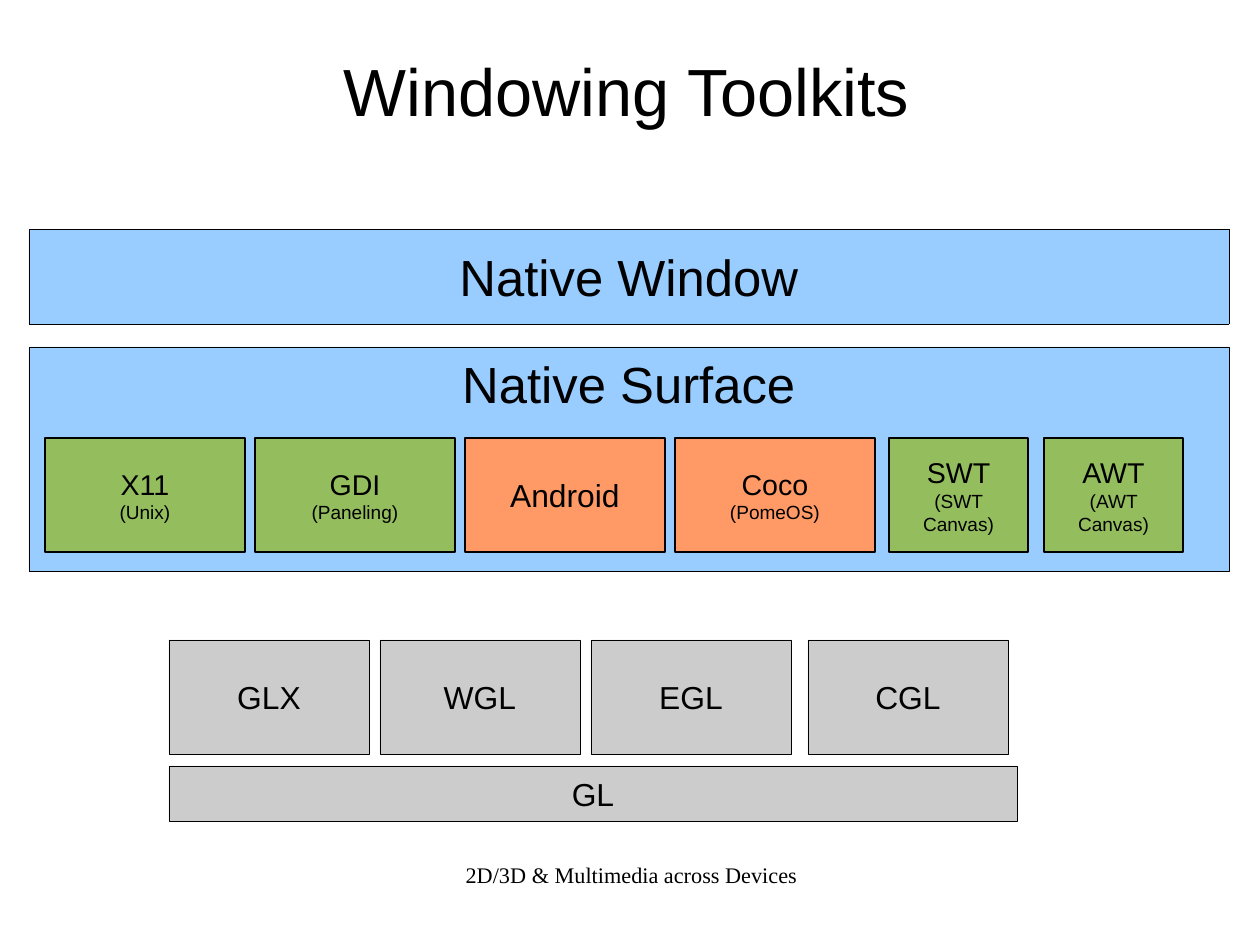
from dataclasses import dataclass

from pptx import Presentation
from pptx.dml.color import RGBColor
from pptx.enum.dml import MSO_LINE as Dash
from pptx.enum.shapes import MSO_SHAPE as Shape
from pptx.enum.text import MSO_ANCHOR as Anchor, MSO_AUTO_SIZE as AutoSize, PP_ALIGN as Align
from pptx.slide import Slide
from pptx.text.text import TextFrame
from pptx.util import Emu, Pt

EMU_PER_PX = 8000


@dataclass(frozen=True)
class Theme:
    ink: str = "000000"
    blue: str = "99CCFF"
    green: str = "94BD5E"
    orange: str = "FF9966"
    grey: str = "CCCCCC"
    sans: str = "Arial"
    serif: str = "Times New Roman"
    title: int = 42
    panel: int = 32
    label: int = 20
    name: int = 18
    footer: int = 14
    note: int = 12
    hairline: float = 0.1
    border: float = 1.45


T = Theme()


@dataclass(frozen=True)
class Style:
    fill: str
    size: int
    line: float = T.hairline
    inset: tuple[int, int] = (11, 6)
    dash: Dash | None = None


@dataclass(frozen=True)
class Box:
    text: str
    x: int
    y: int
    w: int
    h: int
    style: Style
    note: str = ""
    anchor: Anchor = Anchor.MIDDLE


PANEL = Style(T.blue, T.panel, dash=Dash.SQUARE_DOT)
READY = Style(T.green, T.name, T.border, (13, 7))
PLANNED = Style(T.orange, T.name, T.border, (13, 7))
PLANNED_LARGE = Style(T.orange, T.label, T.border, (13, 7))
LIBRARY = Style(T.grey, T.label)

# Content: tile rows follow a fixed pitch
TILE_W, TILE_H, CANVAS_W = 200, 114, 139
SURFACE_Y, LIBRARY_X, LIBRARY_Y = 438, 169, 640

PANELS = [
    Box("Native Window", 29, 229, 1200, 95, PANEL),
    Box("Native Surface", 29, 347, 1200, 224, PANEL, anchor=Anchor.TOP),
]
SURFACES = [
    Box(name, 45 + 210 * i, SURFACE_Y, TILE_W, TILE_H, style, note)
    for i, (name, note, style) in enumerate([
        ("X11", "(Unix)", READY),
        ("GDI", "(Paneling)", READY),
        ("Android", "", PLANNED_LARGE),
        ("Coco", "(PomeOS)", PLANNED),
    ])
]
CANVASES = [
    Box(name, 889 + 155 * i, SURFACE_Y, CANVAS_W, TILE_H, READY, f"({name} Canvas)")
    for i, name in enumerate(["SWT", "AWT"])
]
LIBRARIES = [
    Box(name, LIBRARY_X + 211 * i, LIBRARY_Y, TILE_W, TILE_H, LIBRARY)
    for i, name in enumerate(["GLX", "WGL", "EGL"])
] + [
    Box("CGL", 808, LIBRARY_Y, TILE_W, TILE_H, LIBRARY),
    Box("GL", LIBRARY_X, 766, 848, 55, LIBRARY),
]


def px(n: int) -> Emu:
    return Emu(n * EMU_PER_PX)


def write(tf: TextFrame, lines: list[tuple[str, int]], font: str = T.sans,
          inset: tuple[int, int] = (0, 0), anchor: Anchor = Anchor.MIDDLE) -> None:
    tf.word_wrap = True
    tf.auto_size = AutoSize.NONE
    tf.vertical_anchor = anchor
    tf.margin_left = tf.margin_right = px(inset[0])
    tf.margin_top = tf.margin_bottom = px(inset[1])
    for i, (text, size) in enumerate(lines):
        p = tf.add_paragraph() if i else tf.paragraphs[0]
        p.alignment = Align.CENTER
        r = p.add_run()
        r.text = text
        r.font.name = font
        r.font.size = Pt(size)
        r.font.color.rgb = RGBColor.from_string(T.ink)


def add_box(s: Slide, box: Box) -> None:
    style = box.style
    sp = s.shapes.add_shape(Shape.RECTANGLE, px(box.x), px(box.y), px(box.w), px(box.h))
    sp.shadow.inherit = False
    sp.fill.solid()
    sp.fill.fore_color.rgb = RGBColor.from_string(style.fill)
    sp.line.color.rgb = RGBColor.from_string(T.ink)
    sp.line.width = Pt(style.line)
    if style.dash is not None:
        sp.line.dash_style = style.dash
    lines = [(box.text, style.size)]
    if box.note:
        lines.append((box.note, T.note))
    write(sp.text_frame, lines, inset=style.inset, anchor=box.anchor)


def main() -> None:
    prs = Presentation()
    prs.slide_width, prs.slide_height = px(1260), px(945)
    s = prs.slides.add_slide(prs.slide_layouts[5])

    # Title
    title = s.shapes.title
    title.left, title.top, title.width, title.height = px(52), px(43), px(1149), px(94)
    write(title.text_frame, [("Windowing Toolkits", T.title)])

    # Layers, from back to front
    for box in PANELS + SURFACES + CANVASES + LIBRARIES:
        add_box(s, box)

    # Footer
    footer = s.shapes.add_textbox(px(377), px(861), px(509), px(65))
    write(footer.text_frame, [("2D/3D & Multimedia across Devices", T.footer)],
          font=T.serif, anchor=Anchor.TOP)

    prs.save("out.pptx")


if __name__ == "__main__":
    main()
